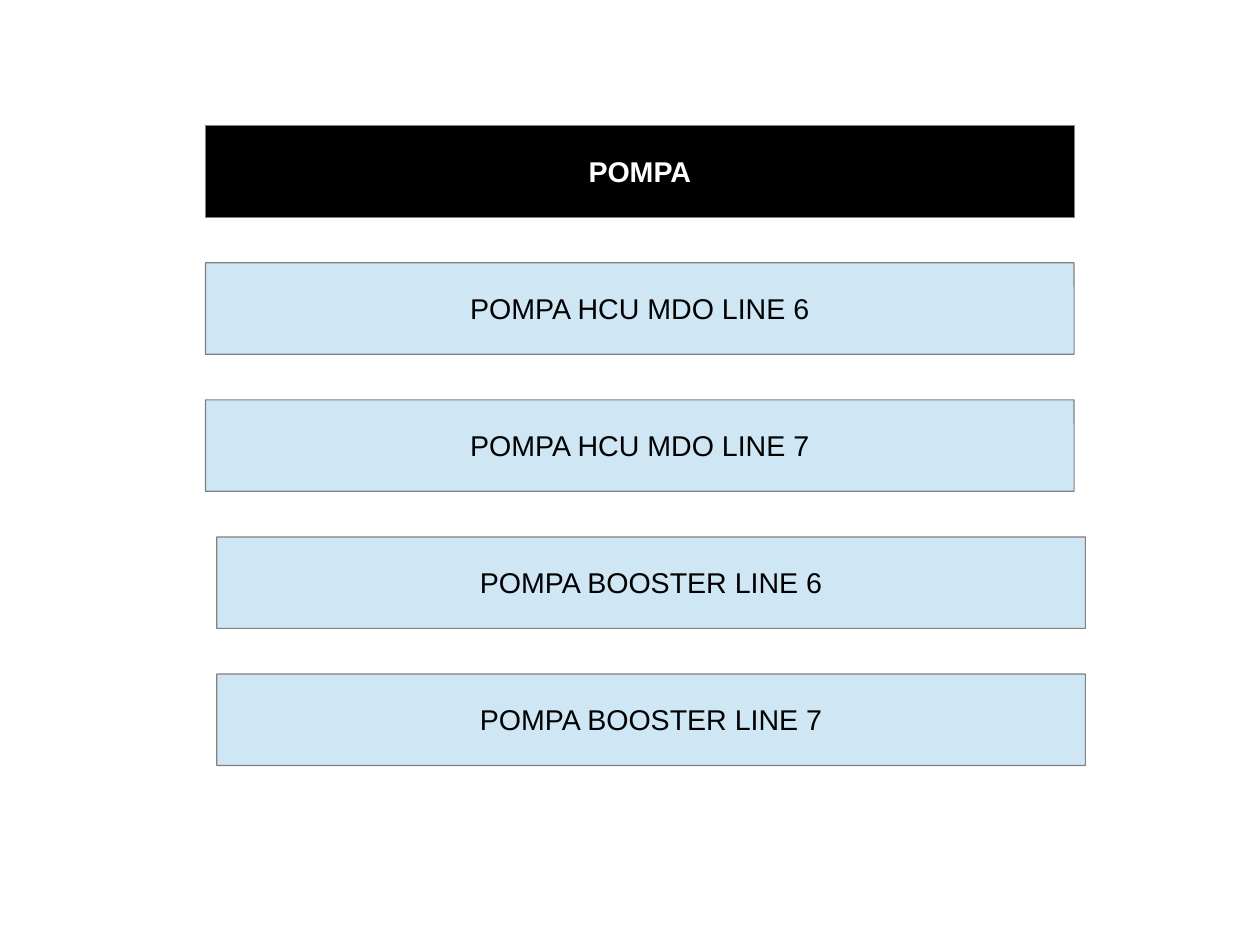
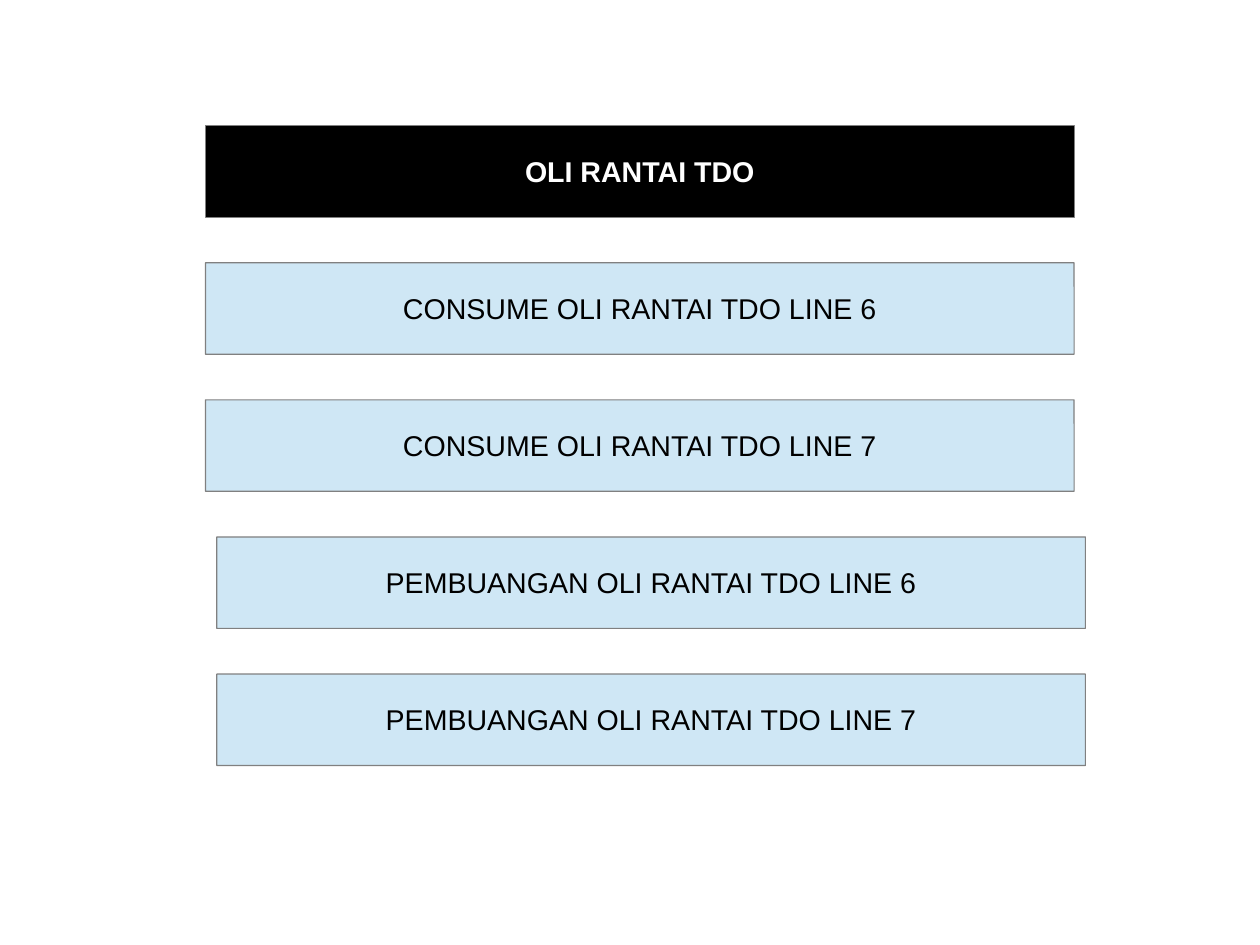
from pptx import Presentation
from pptx.dml.color import RGBColor
from pptx.enum.shapes import MSO_SHAPE
from pptx.enum.text import MSO_ANCHOR, MSO_AUTO_SIZE, PP_ALIGN
from pptx.util import Pt

PAGES = [
    ("POMPA", [
        "POMPA HCU MDO LINE 6",
        "POMPA HCU MDO LINE 7",
        "POMPA BOOSTER LINE 6",
        "POMPA BOOSTER LINE 7",
    ]),
    ("OLI RANTAI TDO", [
        "CONSUME OLI RANTAI TDO LINE 6",
        "CONSUME OLI RANTAI TDO LINE 7",
        "PEMBUANGAN OLI RANTAI TDO LINE 6",
        "PEMBUANGAN OLI RANTAI TDO LINE 7",
    ]),
]
COLOURS = {"title": "000000", "item": "CFE7F5", "border": "808080",
           "title_text": "FFFFFF", "item_text": "000000"}
FONT = "Arial"
PAGE_WIDTH, PAGE_HEIGHT = 793.75, 595.25
LEFT, TOP, WIDTH, HEIGHT = 129.5, 79.2, 547.2, 57.6
ROW_STEP = 86.35
INDENT = 7.1
FIRST_INDENTED_ROW = 3


def colour(name):
    return RGBColor.from_string(COLOURS[name])


def format_bar(bar, row, text, style):
    indent = INDENT if row >= FIRST_INDENTED_ROW else 0
    bar.left, bar.top = Pt(LEFT + indent), Pt(TOP + row * ROW_STEP)
    bar.width, bar.height = Pt(WIDTH), Pt(HEIGHT)
    bar.fill.solid()
    bar.fill.fore_color.rgb = colour(style)
    bar.line.color.rgb = colour("border")
    bar.line.width = Pt(0.75)
    frame = bar.text_frame
    frame.word_wrap = True
    frame.auto_size = MSO_AUTO_SIZE.NONE
    frame.vertical_anchor = MSO_ANCHOR.MIDDLE
    frame.margin_left = frame.margin_right = Pt(7.2)
    frame.margin_top, frame.margin_bottom = Pt(5), Pt(3.6)
    frame.text = text
    para = frame.paragraphs[0]
    para.alignment = PP_ALIGN.CENTER
    para.line_spacing = 0.93
    para.font.name = FONT
    para.font.size = Pt(18)
    para.font.bold = style == "title"
    para.font.color.rgb = colour(style + "_text")


def add_item(page, row, text):
    bar = page.shapes.add_shape(MSO_SHAPE.ROUNDED_RECTANGLE, 0, 0, Pt(WIDTH), Pt(HEIGHT))
    bar.adjustments[0] = 0.002
    bar.shadow.inherit = False
    format_bar(bar, row, text, "item")


def main():
    deck = Presentation()
    deck.slide_width, deck.slide_height = Pt(PAGE_WIDTH), Pt(PAGE_HEIGHT)
    title_only = deck.slide_layouts[5]
    for title, items in PAGES:
        page = deck.slides.add_slide(title_only)
        format_bar(page.shapes.title, 0, title, "title")
        for row, text in enumerate(items, start=1):
            add_item(page, row, text)
    deck.save("out.pptx")


if __name__ == "__main__":
    main()
